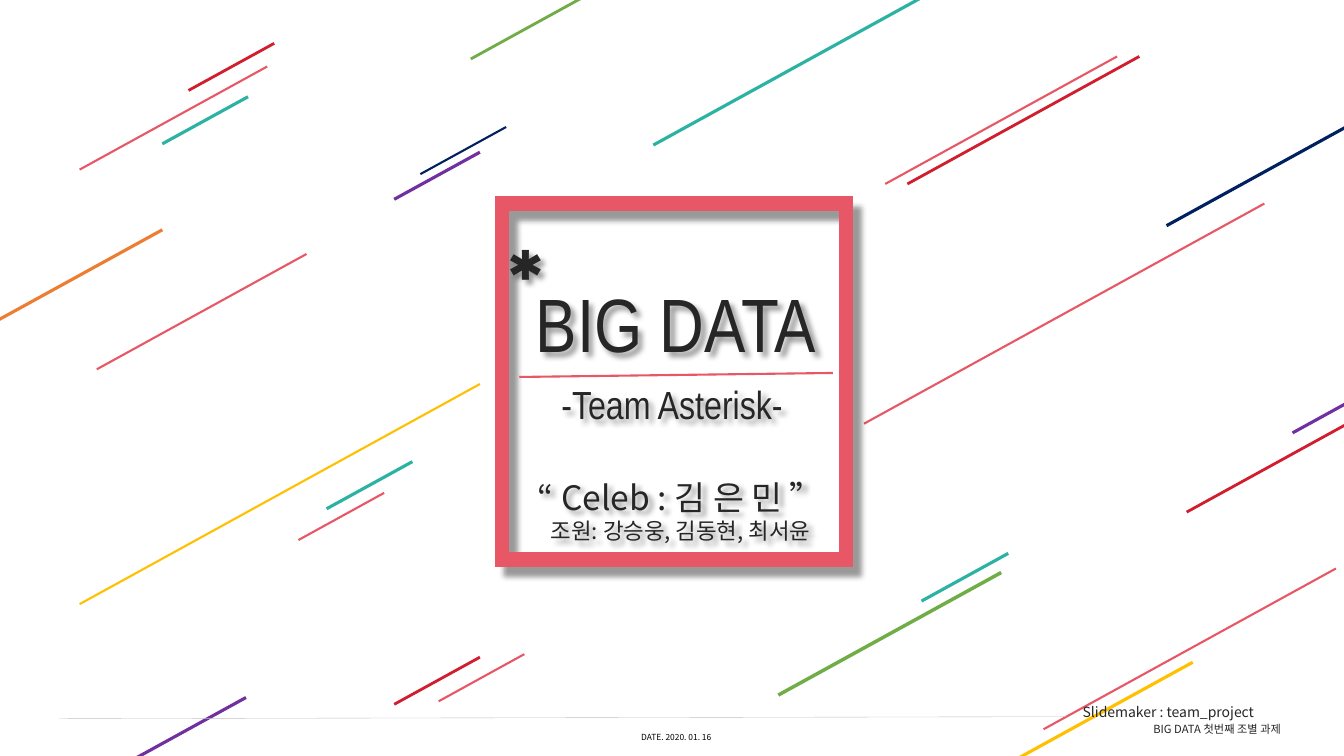
from lxml import etree
from pptx import Presentation, util as u
from pptx.dml.color import RGBColor
from pptx.enum import shapes, text
from pptx.oxml import ns

PX = 9144
SLOPE = 0.55
ROSE, RED, TEAL, NAVY = "E75765", "D01E2F", "2CB2A2", "002060"
GOLD, PLUM, GREEN, ORANGE = "FFC000", "7030A0", "70AD47", "ED7D31"
INK, GREY = "262626", "BFBFBF"
NOTO, NARROW, MONT = "Noto Sans CJK KR", "Arial Narrow", "Montserrat"

STREAKS = [
    (1108, 56, 230, ROSE, 1.5), (1130, 56, 230, RED, 2),
    (1254, 202, 397, ROSE, 1.5), (476, 381, 397, GOLD, 1.5),
    (409, 458, 85, TEAL, 2.25), (476, 151, 85, PLUM, 2.25),
    (246, 96, 85, TEAL, 2.25), (304, 252, 208, ROSE, 1.5),
    (476, 652, 85, RED, 2), (1183, 657, 210, GOLD, 2.25),
    (1388, 392, 211, RED, 2), (677, -57, 210, GREEN, 2),
    (161, 228, 211, ORANGE, 2.25), (244, 692, 211, PLUM, 2.25),
    (1325, 564, 290, ROSE, 1.5), (993, 568, 221, GREEN, 2.5),
    (1381, 375, 99, PLUM, 2.25), (946, -20, 298, TEAL, 2.25),
    (265, 66, 186, ROSE, 1.5), (272, 43, 85, RED, 2),
    (502, 126, 85, NAVY, 1.5), (381, 489, 85, ROSE, 1.5),
    (520, 649, 85, ROSE, 1.5), (1000, 549, 86, TEAL, 2.25),
    (1455, 60, 298, NAVY, 2.25),
]


def px(*nums):
    """Turn pixel lengths into EMU."""
    return [u.Emu(round(n * PX)) for n in nums]


def hue(code):
    """Turn a hex string into a colour."""
    return RGBColor.from_string(code)


def shade(shape, blur, dist, angle, alpha):
    """Give a shape a soft black outer shadow."""
    shape.shadow.inherit = False
    box = shape._element.spPr.find(ns.qn("a:effectLst"))
    outer = etree.SubElement(
        box, ns.qn("a:outerShdw"), blurRad=str(u.Pt(blur)),
        dist=str(u.Pt(dist)), dir=str(angle * 60000), algn="tl", rotWithShape="0")
    tint = etree.SubElement(outer, ns.qn("a:srgbClr"), val="000000")
    etree.SubElement(tint, ns.qn("a:alpha"), val=str(alpha * 1000))


def write(slide, box, rows, font=NOTO, color=INK, bold=False, mid=False,
          wrap=True, soft=False, shape=None):
    """Write (text, size) rows into a new text box or a given placeholder."""
    if shape is None:
        shape = slide.shapes.add_textbox(*px(*box))
    else:
        shape.left, shape.top, shape.width, shape.height = px(*box)
    frame = shape.text_frame
    frame.word_wrap = wrap
    frame.auto_size = text.MSO_AUTO_SIZE.NONE
    frame.vertical_anchor = text.MSO_ANCHOR.TOP
    for i, (words, size) in enumerate(rows):
        para = frame.add_paragraph() if i else frame.paragraphs[0]
        para.alignment = text.PP_ALIGN.CENTER if mid else text.PP_ALIGN.LEFT
        para.space_before = u.Pt(0)
        run = para.add_run()
        run.text = words
        run.font.name, run.font.size, run.font.bold = font, u.Pt(size), bold
        run.font.color.rgb = hue(color)
        east = etree.SubElement(run._r.get_or_add_rPr(), ns.qn("a:ea"))
        east.set("typeface", font)
    if soft:
        shade(shape, 4, 4, 45, 40)


def draw(slide, start, end, color, width):
    """Draw a straight line between two points."""
    line = slide.shapes.add_connector(
        shapes.MSO_CONNECTOR.STRAIGHT, *px(*start, *end))
    line.line.color.rgb = hue(color)
    line.line.width = u.Pt(width)
    etree.SubElement(line._element.spPr, ns.qn("a:effectLst"))


def streaks(slide):
    """Scatter parallel streaks, each falling left from its upper end."""
    for x, y, run, color, width in STREAKS:
        draw(slide, (x, y), (x - run, y + run * SLOPE), color, width)


def card(slide, x, y, w, h):
    """Place the framed title card."""
    frame = slide.shapes.add_shape(shapes.MSO_SHAPE.RECTANGLE, *px(x, y, w, h))
    frame.fill.background()
    frame.line.color.rgb = hue(ROSE)
    frame.line.width = u.Pt(10.5)
    edge = frame._element.spPr.find(ns.qn("a:ln"))
    etree.SubElement(edge, ns.qn("a:miter"), lim="800000")
    shade(frame, 4, 9, 50, 40)
    title, sub = slide.placeholders
    write(slide, (x + 4, y + 68, w - 4, 101), [("BIG DATA", 54)],
          font=NARROW, mid=True, soft=True, shape=title)
    write(slide, (x, y + 170, w - 4, 57), [("-Team Asterisk-", 28)],
          font=NARROW, mid=True, soft=True, shape=sub)
    write(slide, (x - 3, y + 22, 62, 101), [("*", 54)],
          font=MONT, bold=True, wrap=False, soft=True)
    write(slide, (x + 6, y + 266, w + 1, 77),
          [("“ Celeb : 김 은 민 ”", 24), ("조원: 강승웅, 김동현, 최서윤", 16)],
          mid=True, soft=True)
    draw(slide, (x + 328, y + 168), (x + 17, y + 172), ROSE, 1.5)


def footer(slide, x, y, w):
    """Place the bottom rule, the date and the credits."""
    draw(slide, (x + w, y), (x, y + 2), GREY, 0.25)
    write(slide, (x + 1005, y - 18, 214, 27),
          [("Slidemaker : team_project", 10)], wrap=False)
    write(slide, (x + 1075, y + 1, 164, 24),
          [("BIG DATA 첫번째 조별 과제", 8)], wrap=False)
    write(slide, (x + 567, y + 10, 92, 20),
          [("DATE. 2020. 01. 16", 6)], color="000000", wrap=False)


def main():
    """Build and save the cover slide."""
    deck = Presentation()
    deck.slide_width, deck.slide_height = px(1333, 750)
    slide = deck.slides.add_slide(deck.slide_layouts[0])
    streaks(slide)
    card(slide, 498, 202, 341, 353)
    footer(slide, 59, 711, 998)
    deck.save("out.pptx")


if __name__ == "__main__":
    main()
